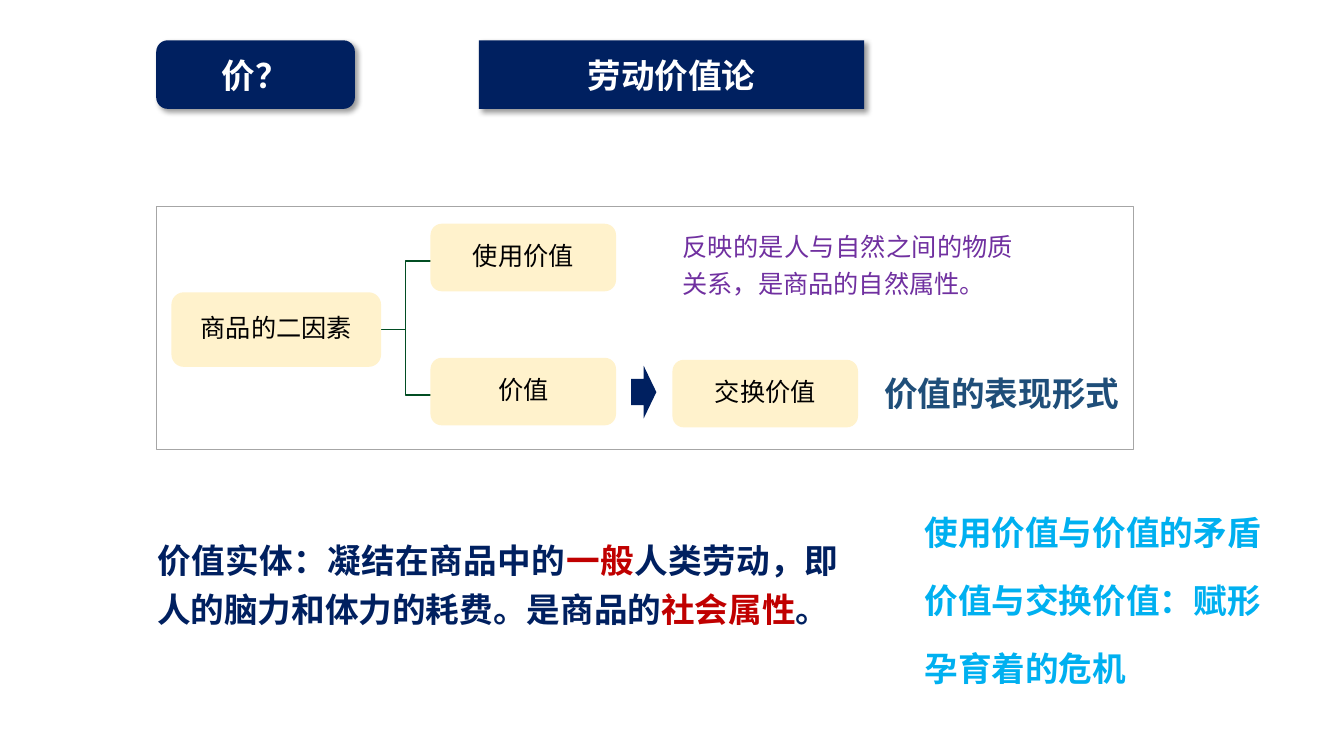
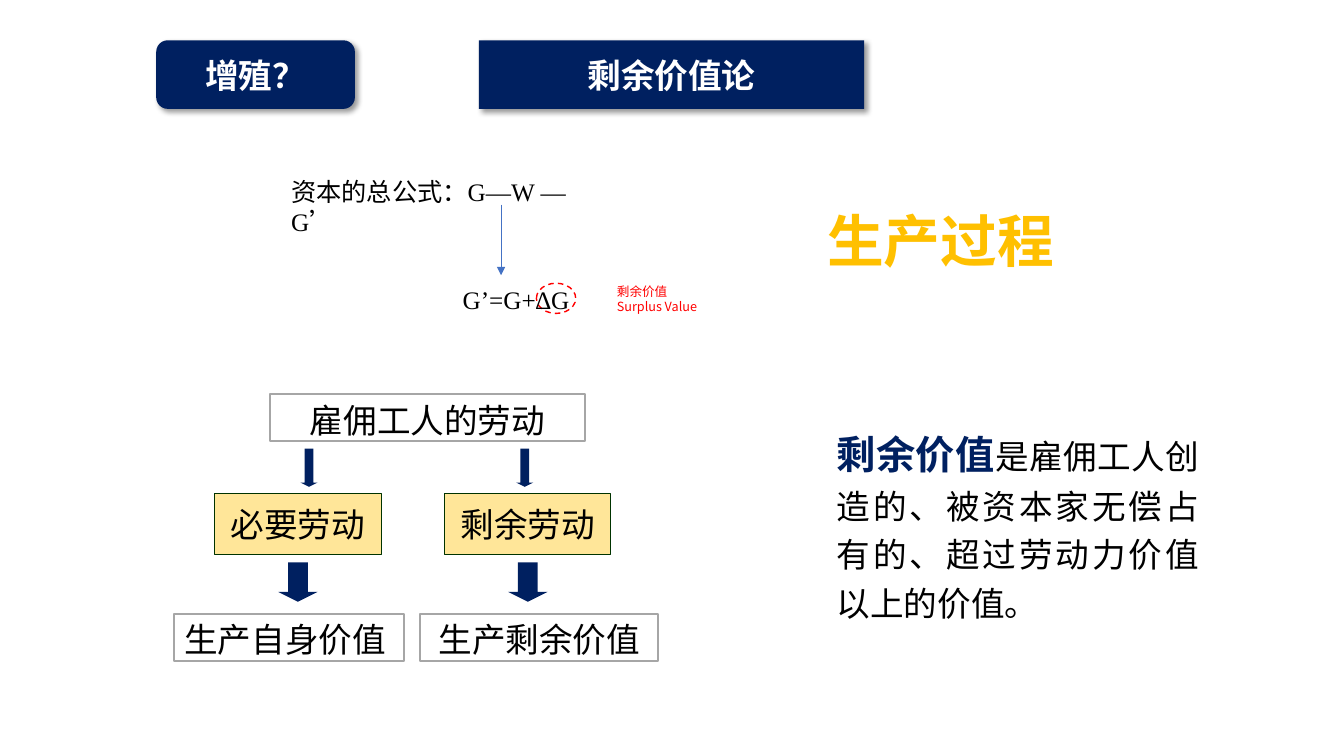
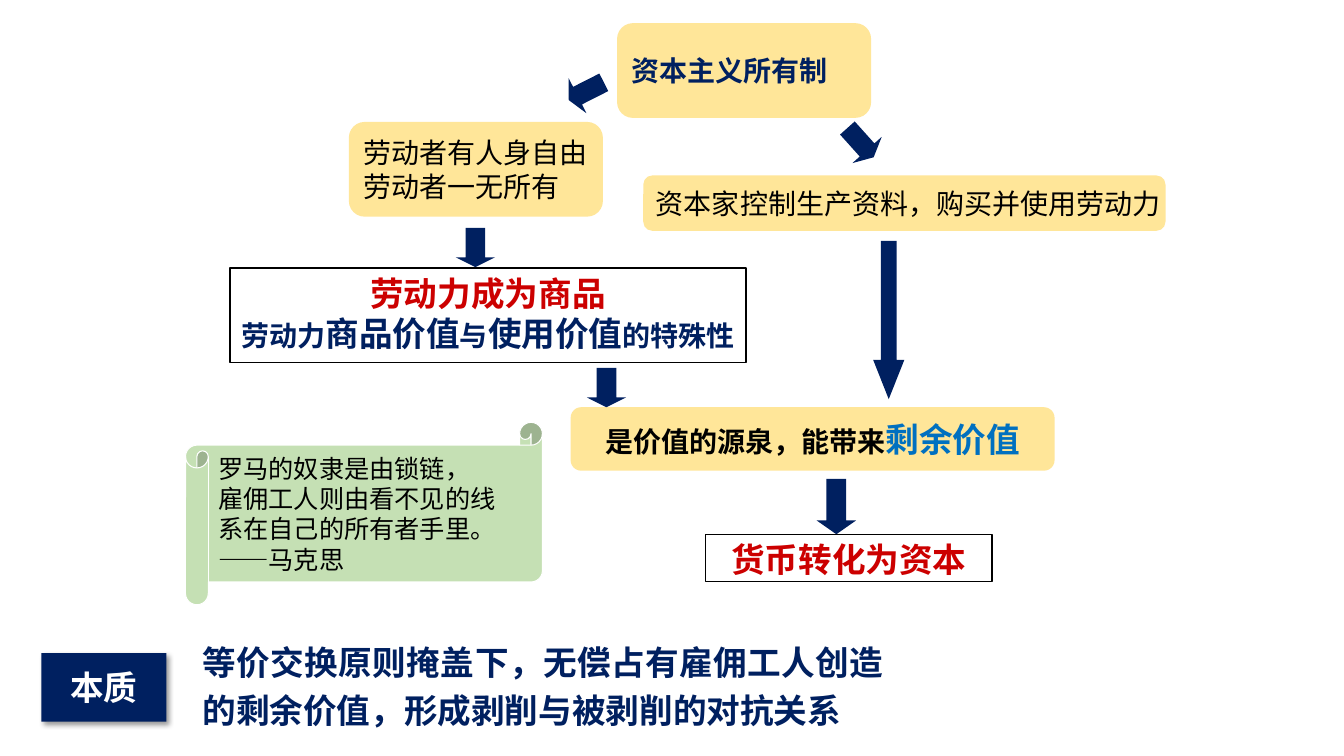
"""Builds three slides on the labour theory of value and surplus value."""
from dataclasses import dataclass, field
from typing import Any, NamedTuple

from lxml import etree
from pptx import Presentation
from pptx.dml.color import RGBColor
from pptx.enum.dml import MSO_LINE
from pptx.enum.shapes import MSO_CONNECTOR, MSO_SHAPE
from pptx.enum.text import MSO_ANCHOR, MSO_AUTO_SIZE, PP_ALIGN
from pptx.oxml.ns import qn
from pptx.util import Emu, Pt

RECT, ROUND, OVAL = MSO_SHAPE.RECTANGLE, MSO_SHAPE.ROUNDED_RECTANGLE, MSO_SHAPE.OVAL
SCROLL, DOWN, RIGHT = MSO_SHAPE.HORIZONTAL_SCROLL, MSO_SHAPE.DOWN_ARROW, MSO_SHAPE.RIGHT_ARROW
ELBOW, STRAIGHT, DASH = MSO_CONNECTOR.ELBOW, MSO_CONNECTOR.STRAIGHT, MSO_LINE.DASH
TOP, MIDDLE, FIXED = MSO_ANCHOR.TOP, MSO_ANCHOR.MIDDLE, MSO_AUTO_SIZE.NONE
LEFT, CENTER, JUST = PP_ALIGN.LEFT, PP_ALIGN.CENTER, PP_ALIGN.JUSTIFY

NAVY = RGBColor(0x00, 0x20, 0x60)
WHITE = RGBColor(0xFF, 0xFF, 0xFF)
BLACK = RGBColor(0x00, 0x00, 0x00)
CREAM = RGBColor(0xFF, 0xF2, 0xCC)
SAND = RGBColor(0xFF, 0xE6, 0x99)
GREEN = RGBColor(0x01, 0x4D, 0x23)
PINE = RGBColor(0x00, 0x33, 0x00)
LEAF = RGBColor(0xC5, 0xE0, 0xB4)
GREY = RGBColor(0xA6, 0xA6, 0xA6)
PURPLE = RGBColor(0x70, 0x30, 0xA0)
STEEL = RGBColor(0x1F, 0x4E, 0x79)
SKY = RGBColor(0x00, 0xB0, 0xF0)
BLUE = RGBColor(0x00, 0x70, 0xC0)
AZURE = RGBColor(0x44, 0x72, 0xC4)
GOLD = RGBColor(0xFF, 0xC0, 0x00)
WINE = RGBColor(0xC0, 0x00, 0x00)
CRIMSON = RGBColor(0xCC, 0x00, 0x00)
RED = RGBColor(0xFF, 0x00, 0x00)

SANS, ARIAL, TIMES = "Noto Sans CJK SC", "Arial", "Times New Roman"
PX = 9144


def px(size: int) -> Emu:
    """Turn px into EMU, at 100 px to the inch."""
    return Emu(size * PX)


def inset(side: int, edge: int) -> dict[str, Any]:
    """Give the margins of a text frame."""
    return {"margin_left": px(side), "margin_right": px(side),
            "margin_top": px(edge), "margin_bottom": px(edge)}


FRAME = {"word_wrap": True, "auto_size": FIXED, "vertical_anchor": TOP} | inset(10, 5)
MID = {"vertical_anchor": MIDDLE}
TIGHT = MID | inset(1, 1)
DEEP = inset(10, 10)
LOOSE = {"word_wrap": False}
FREE = MID | LOOSE
PLAIN = {"alignment": LEFT}
MIDST = {"alignment": CENTER}
CLOSE = {"alignment": CENTER, "line_spacing": 0.9}
PROSE = {"alignment": JUST, "line_spacing": 1.2, "space_before": Pt(14)}


class Box(NamedTuple):
    """Place and size in px."""
    x: int
    y: int
    w: int
    h: int


class Run(NamedTuple):
    """A stretch of text in one style."""
    text: str
    size: float = 24
    ink: RGBColor = BLACK
    bold: bool = False
    face: str = SANS


Lines = list[list[Run]]


@dataclass
class Node:
    """A text box or preset shape with its text."""
    at: Box
    text: Lines = field(default_factory=list)
    kind: Any = None
    fill: RGBColor | None = None
    line: RGBColor | None = None
    wide: float = 1
    frame: dict[str, Any] = field(default_factory=dict)
    para: dict[str, Any] = field(default_factory=lambda: PLAIN)


class Arrow(NamedTuple):
    """A solid block arrow."""
    at: Box
    head: float = 0.25
    turn: float = 0
    kind: Any = DOWN


def put(item: Any, vals: dict[str, Any]) -> None:
    """Set each value on an item."""
    for key, val in vals.items():
        setattr(item, key, val)


def place(shape: Any, at: Box) -> None:
    """Move and size a shape."""
    put(shape, dict(zip(("left", "top", "width", "height"), map(px, at))))


def write(frame: Any, text: Lines, look: dict[str, Any], para: dict[str, Any]) -> None:
    """Fill a text frame with styled paragraphs."""
    put(frame, FRAME | look)
    for num, runs in enumerate(text):
        par = frame.add_paragraph() if num else frame.paragraphs[0]
        put(par, para)
        for bit in runs:
            run = par.add_run()
            run.text = bit.text
            put(run.font, {"size": Pt(bit.size), "bold": bit.bold, "name": bit.face})
            run.font.color.rgb = bit.ink
            etree.SubElement(run.font._element, qn("a:ea"), typeface=SANS)


def paint(shape: Any, fill: RGBColor | None, line: RGBColor | None, wide: float) -> None:
    """Set fill and outline, without shadow."""
    shape.shadow.inherit = False
    if fill is None:
        shape.fill.background()
    else:
        shape.fill.solid()
        shape.fill.fore_color.rgb = fill
    if line is None:
        shape.line.fill.background()
    else:
        shape.line.color.rgb = line
        shape.line.width = Pt(wide)


def draw(slide: Any, node: Node) -> Any:
    """Draw a node."""
    if node.kind is None:
        shape = slide.shapes.add_textbox(*map(px, node.at))
    else:
        shape = slide.shapes.add_shape(node.kind, *map(px, node.at))
        paint(shape, node.fill, node.line, node.wide)
    write(shape.text_frame, node.text, node.frame, node.para)
    return shape


def point(slide: Any, arrow: Arrow) -> None:
    """Draw a block arrow."""
    shape = draw(slide, Node(arrow.at, kind=arrow.kind, fill=NAVY))
    shape.adjustments[1] = arrow.head
    shape.rotation = arrow.turn


def link(slide: Any, kind: Any, ends: Box, ink: RGBColor, wide: float) -> Any:
    """Draw a connector between two points."""
    wire = slide.shapes.add_connector(kind, *map(px, ends))
    wire.line.color.rgb = ink
    wire.line.width = Pt(wide)
    etree.SubElement(wire._element.spPr, qn("a:effectLst"))
    return wire


def badge(shape: Any, text: str) -> None:
    """Give a shape the navy heading style with a soft shadow."""
    paint(shape, NAVY, None, 0)
    glow = shape._element.spPr.find(qn("a:effectLst"))
    cast = etree.SubElement(glow, qn("a:outerShdw"), blurRad=str(Pt(4)), dist=str(Pt(3)),
                            dir="2700000", algn="tl", rotWithShape="0")
    tint = etree.SubElement(cast, qn("a:srgbClr"), val=str(BLACK))
    etree.SubElement(tint, qn("a:alpha"), val="40000")
    write(shape.text_frame, [[Run(text, ink=WHITE, bold=True)]], MID, MIDST)


def title(slide: Any, text: str, at: Box) -> None:
    """Turn the title placeholder into a rounded badge."""
    shape = slide.shapes.title
    place(shape, at)
    geom = etree.Element(qn("a:prstGeom"), prst="roundRect")
    etree.SubElement(geom, qn("a:avLst"))
    shape._element.spPr.insert(1, geom)
    badge(shape, text)


def head(slide: Any, ask: str, name: str) -> None:
    """Draw the question badge and the title badge."""
    title(slide, name, Box(475, 40, 382, 68))
    badge(slide.shapes.add_shape(ROUND, *map(px, Box(155, 40, 197, 68))), ask)


def bare(shape: Any) -> None:
    """Take bullets and indents off a list."""
    for par in shape.text_frame.paragraphs:
        prop = par._p.get_or_add_pPr()
        prop.set("marL", "0")
        prop.set("indent", "0")
        etree.SubElement(prop, qn("a:buNone"))


def labour(slide: Any) -> None:
    """Draw the two factors of a commodity."""
    head(slide, "价？", "劳动价值论")
    for end in (392, 259):
        link(slide, ELBOW, Box(378, 327, 427, end), GREEN, 1)
    for at, text in (
        (Box(170, 290, 208, 74), "商品的二因素"),
        (Box(427, 222, 184, 67), "使用价值"),
        (Box(427, 355, 184, 67), "价值"),
        (Box(667, 357, 184, 67), "交换价值"),
    ):
        draw(slide, Node(at, [[Run(text, 18)]], ROUND, CREAM, frame=TIGHT, para=CLOSE))
    point(slide, Arrow(Box(626, 363, 25, 52), 0.5, kind=RIGHT))
    draw(slide, Node(Box(155, 205, 969, 241), kind=RECT, line=GREY))
    core = [Run(text, ink=ink, bold=True, face=ARIAL) for text, ink in (
        ("价值实体：凝结在商品中的", NAVY), ("一般", WINE),
        ("人类劳动，即人的脑力和体力的耗费。是商品的", NAVY), ("社会属性", WINE), ("。", NAVY))]
    for at, runs in (
        (Box(667, 219, 348, 80),
         [Run("反映的是人与自然之间的物质关系，是商品的自然属性。", 18, PURPLE, face=ARIAL)]),
        (Box(867, 357, 257, 55), [Run("价值的表现形式", ink=STEEL, bold=True)]),
        (Box(146, 523, 695, 103), core),
    ):
        draw(slide, Node(at, [runs], para=PROSE))
    body = slide.placeholders[1]
    place(body, Box(907, 495, 384, 210))
    points = ("使用价值与价值的矛盾", "价值与交换价值：赋形", "孕育着的危机")
    write(body.text_frame, [[Run(text, ink=SKY, bold=True)] for text in points], {}, PROSE)
    bare(body)


def surplus(slide: Any) -> None:
    """Draw the formula of capital and the split of labour."""
    head(slide, "增殖？", "剩余价值论")
    wire = link(slide, STRAIGHT, Box(497, 203, 497, 273), AZURE, 0.5)
    etree.SubElement(wire.line._get_or_add_ln(), qn("a:tailEnd"), type="triangle")
    ring = draw(slide, Node(Box(532, 281, 39, 30), kind=OVAL, line=RED))
    ring.line.dash_style = DASH
    for node in (
        Node(Box(279, 170, 314, 40), [[Run("资本的总公式：G—W — G’", 18, face=TIMES)]]),
        Node(Box(449, 277, 127, 40), [[Run("G’=G+∆G", 18, face=TIMES)]], frame=LOOSE),
        Node(Box(602, 277, 102, 40),
             [[Run(text, 9, RED)] for text in ("剩余价值", "Surplus Value")], frame=LOOSE),
        Node(Box(812, 200, 242, 76), [[Run("生产过程", 40.5, GOLD, True)]],
             frame=LOOSE | inset(7, 4), para=MIDST),
        Node(Box(820, 413, 379, 208),
             [[Run("剩余价值", 28, NAVY, True, ARIAL),
               Run("是雇佣工人创造的、被资本家无偿占有的、超过劳动力价值以上的价值。", face=ARIAL)]],
             para=PROSE),
    ):
        draw(slide, node)
    for at, text, para in (
        (Box(268, 391, 312, 47), "雇佣工人的劳动", CLOSE),
        (Box(417, 609, 236, 47), "生产剩余价值", CLOSE),
        (Box(173, 609, 228, 47), "生产自身价值", CLOSE | PLAIN),
    ):
        draw(slide, Node(at, [[Run(text, face=ARIAL)]], RECT, None, GREY, 1.5, DEEP, para))
    for left, thin, text in ((213, 298, "必要劳动"), (441, 512, "剩余劳动")):
        draw(slide, Node(Box(left, 490, 165, 60), [[Run(text, face=ARIAL)]],
                         RECT, SAND, PINE, 0.75, DEEP, MIDST))
        point(slide, Arrow(Box(thin, 445, 17, 38)))
        point(slide, Arrow(Box(left + 63, 558, 39, 39)))


def capital(slide: Any) -> None:
    """Draw how ownership turns money into capital."""
    title(slide, "本质", Box(41, 648, 124, 68))
    power = [Run(text, size, NAVY, True, ARIAL) for text, size in (
        ("劳动力", 20), ("商品价值", 24), ("与", 20), ("使用价值", 24), ("的特殊性", 20))]
    for at, text in (
        (Box(228, 266, 512, 94), [[Run("劳动力成为商品", 24, CRIMSON, True, ARIAL)], power]),
        (Box(700, 530, 284, 47), [[Run("货币转化为资本", 24, CRIMSON, True, ARIAL)]]),
    ):
        draw(slide, Node(at, text, RECT, line=BLACK, para=MIDST))
    for at, text, para in (
        (Box(612, 23, 252, 94), [[Run("资本主义所有制", 20, NAVY, True)]], PLAIN),
        (Box(346, 121, 252, 94),
         [[Run("劳动者有人身自由", 20)], [Run("劳动者一无所有", 20)]], PLAIN),
        (Box(638, 174, 518, 55), [[Run("资本家控制生产资料，购买并使用劳动力", 20)]], PLAIN),
        (Box(566, 404, 480, 63),
         [[Run("是价值的源泉，能带来", 20, bold=True), Run("剩余价值", 24, BLUE, True)]], MIDST),
    ):
        draw(slide, Node(at, text, ROUND, SAND, frame=FREE, para=para))
    quote = ("罗马的奴隶是由锁链，", "雇佣工人则由看不见的线", "系在自己的所有者手里。", "——马克思")
    draw(slide, Node(Box(184, 419, 354, 181), [[Run(text, 18)] for text in quote],
                     SCROLL, LEAF, WHITE, 0.75, FREE, {"alignment": JUST}))
    for arrow in (
        Arrow(Box(452, 226, 39, 39)),
        Arrow(Box(582, 365, 39, 39)),
        Arrow(Box(866, 239, 31, 157), 1.26),
        Arrow(Box(810, 475, 39, 55), 0.35),
        Arrow(Box(562, 71, 39, 39), turn=63.1),
        Arrow(Box(834, 122, 39, 39), turn=318.1),
    ):
        point(slide, arrow)
    gist = "等价交换原则掩盖下，无偿占有雇佣工人创造的剩余价值，形成剥削与被剥削的对抗关系"
    draw(slide, Node(Box(191, 624, 695, 103), [[Run(gist, 24, NAVY, True, ARIAL)]], para=PROSE))


def main() -> None:
    """Build and save the deck."""
    deck = Presentation()
    put(deck, {"slide_width": px(1333), "slide_height": px(750)})
    for build, layout in ((labour, 1), (surplus, 5), (capital, 5)):
        build(deck.slides.add_slide(deck.slide_layouts[layout]))
    deck.save("out.pptx")


if __name__ == "__main__":
    main()
